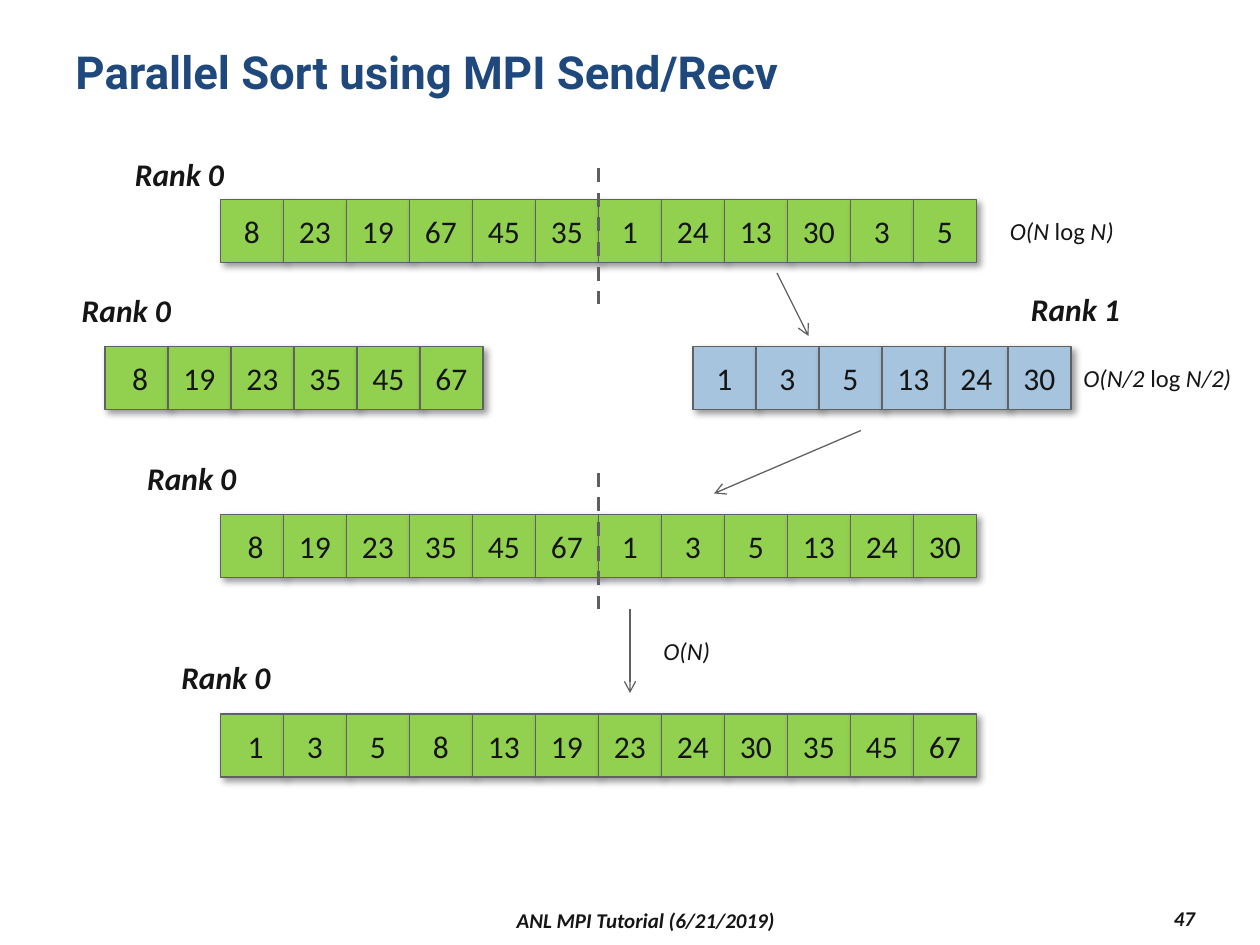
from dataclasses import dataclass

from lxml.etree import SubElement
from pptx import Presentation
from pptx.dml.color import RGBColor
from pptx.enum.dml import MSO_LINE_DASH_STYLE as Dash
from pptx.enum.shapes import MSO_CONNECTOR as Connector, MSO_SHAPE as Shape
from pptx.enum.text import MSO_ANCHOR as Anchor, MSO_AUTO_SIZE as AutoSize, PP_ALIGN as Align
from pptx.oxml.ns import qn
from pptx.util import Pt

COLORS = {
    "title": "1F497D",
    "text": "151515",
    "rank 0": "92D050",
    "rank 1": "A6C4DE",
    "line": "616161",
    "split": "5F5F5F",
    "shadow": "000000",
}
CELL = 36
FIRST_CELL_INDENT = 4


@dataclass
class NumberRow:
    left: float
    top: float
    numbers: list[int]
    color: str = "rank 0"
    indent: float = 0


@dataclass
class Label:
    """Text in a box; parts between asterisks are set upright."""
    text: str
    left: float
    top: float
    width: float
    height: float
    size: float = 18
    bold: bool = True


@dataclass
class Line:
    start: tuple[float, float]
    end: tuple[float, float]
    split: bool = False


FULL_LEFT = 126
ROWS = [
    NumberRow(FULL_LEFT, 114, [8, 23, 19, 67, 45, 35, 1, 24, 13, 30, 3, 5]),
    NumberRow(60, 198, [8, 19, 23, 35, 45, 67], indent=FIRST_CELL_INDENT),
    NumberRow(396, 198, [1, 3, 5, 13, 24, 30], "rank 1"),
    NumberRow(FULL_LEFT, 294, [8, 19, 23, 35, 45, 67, 1, 3, 5, 13, 24, 30],
              indent=FIRST_CELL_INDENT),
    NumberRow(FULL_LEFT, 408, [1, 3, 5, 8, 13, 19, 23, 24, 30, 35, 45, 67],
              indent=FIRST_CELL_INDENT),
]
LINES = [
    Line((444, 156), (462, 192)),
    Line((342, 96), (342, 174), split=True),
    Line((492, 246), (408, 282)),
    Line((342, 270), (342, 348), split=True),
    Line((360, 348), (360, 396)),
]
RANKS = [
    Label(text, left, top, 66.2, 29)
    for text, left, top in [
        ("Rank 0", 70, 85),
        ("Rank 0", 39.6, 162.6),
        ("Rank 1", 582, 162),
        ("Rank 0", 77, 258.5),
        ("Rank 0", 96.5, 372.4),
    ]
]
COSTS = [
    Label(text, left, top, width, 24.3, 14, False)
    for text, left, top, width in [
        ("O(N *log* N)", 570, 120, 74.2),
        ("O(N/2 *log* N/2)", 612, 204, 103),
        ("O(N)", 372, 360, 41.8),
    ]
]


def rgb(name: str) -> RGBColor:
    return RGBColor.from_string(COLORS[name])


def write(box, text: str, *, size: float = 18, font: str = "Calibri", color: str = "text",
          bold: bool = False, italic: bool = False, align=Align.LEFT,
          anchor=Anchor.TOP, wrap: bool = True) -> None:
    frame = box.text_frame
    frame.word_wrap = wrap
    frame.auto_size = AutoSize.NONE if wrap else AutoSize.SHAPE_TO_FIT_TEXT
    frame.vertical_anchor = anchor
    para = frame.paragraphs[0]
    para.alignment = align
    for index, part in enumerate(text.split("*")):
        span = para.add_run()
        span.text = part
        span.font.name = font
        span.font.size = Pt(size)
        span.font.bold = bold
        span.font.italic = italic and index % 2 == 0
        span.font.color.rgb = rgb(color)


def add_box(page, left: float, top: float, width: float, height: float):
    return page.shapes.add_textbox(Pt(left), Pt(top), Pt(width), Pt(height))


def add_shadow(shape) -> None:
    shape.shadow.inherit = False
    effects = shape._element.spPr.find(qn("a:effectLst"))
    shadow = SubElement(effects, qn("a:outerShdw"), blurRad=str(Pt(4)), dist=str(Pt(3)),
                        dir=str(45 * 60000), algn="tl", rotWithShape="0")
    color = SubElement(shadow, qn("a:srgbClr"), val=COLORS["shadow"])
    SubElement(color, qn("a:alpha"), val="40000")


def add_row(page, row: NumberRow) -> None:
    for index, number in enumerate(row.numbers):
        cell = page.shapes.add_shape(Shape.RECTANGLE, Pt(row.left + index * CELL),
                                     Pt(row.top), Pt(CELL), Pt(CELL))
        cell.fill.solid()
        cell.fill.fore_color.rgb = rgb(row.color)
        cell.line.color.rgb = rgb("line")
        cell.line.width = Pt(0.75)
        add_shadow(cell)
        write(cell, str(number), align=Align.CENTER, anchor=Anchor.MIDDLE)
        if index == 0:
            cell.text_frame.margin_left += Pt(row.indent)


def add_line(page, line: Line) -> None:
    """Draw a dashed split mark or an arrow."""
    points = [Pt(value) for value in (*line.start, *line.end)]
    connector = page.shapes.add_connector(Connector.STRAIGHT, *points)
    connector.line.color.rgb = rgb("split" if line.split else "line")
    connector.line.width = Pt(2 if line.split else 0.75)
    if line.split:
        connector.line.dash_style = Dash.DASH
    else:
        SubElement(connector.line._get_or_add_ln(), qn("a:tailEnd"), type="arrow")
    SubElement(connector._element.spPr, qn("a:effectLst"))


def add_label(page, label: Label) -> None:
    box = add_box(page, label.left, label.top, label.width, label.height)
    write(box, label.text, size=label.size, bold=label.bold, italic=True, wrap=False)


def main() -> None:
    deck = Presentation()
    deck.slide_width, deck.slide_height = Pt(720), Pt(540)
    page = deck.slides.add_slide(deck.slide_layouts[6])

    write(add_box(page, 36, 21.6, 648, 62.6), "Parallel Sort using MPI Send/Recv",
          size=26, font="Roboto", color="title", bold=True)
    for row in ROWS:
        add_row(page, row)
    for line in LINES:
        add_line(page, line)
    for label in RANKS + COSTS:
        add_label(page, label)

    footer = {"size": 12, "bold": True, "italic": True, "anchor": Anchor.MIDDLE}
    write(add_box(page, 156, 516.2, 426, 19.4), "ANL MPI Tutorial (6/21/2019)",
          align=Align.CENTER, **footer)
    write(add_box(page, 612, 515, 78, 19.4), "47", align=Align.RIGHT, **footer)
    deck.save("out.pptx")


if __name__ == "__main__":
    main()
